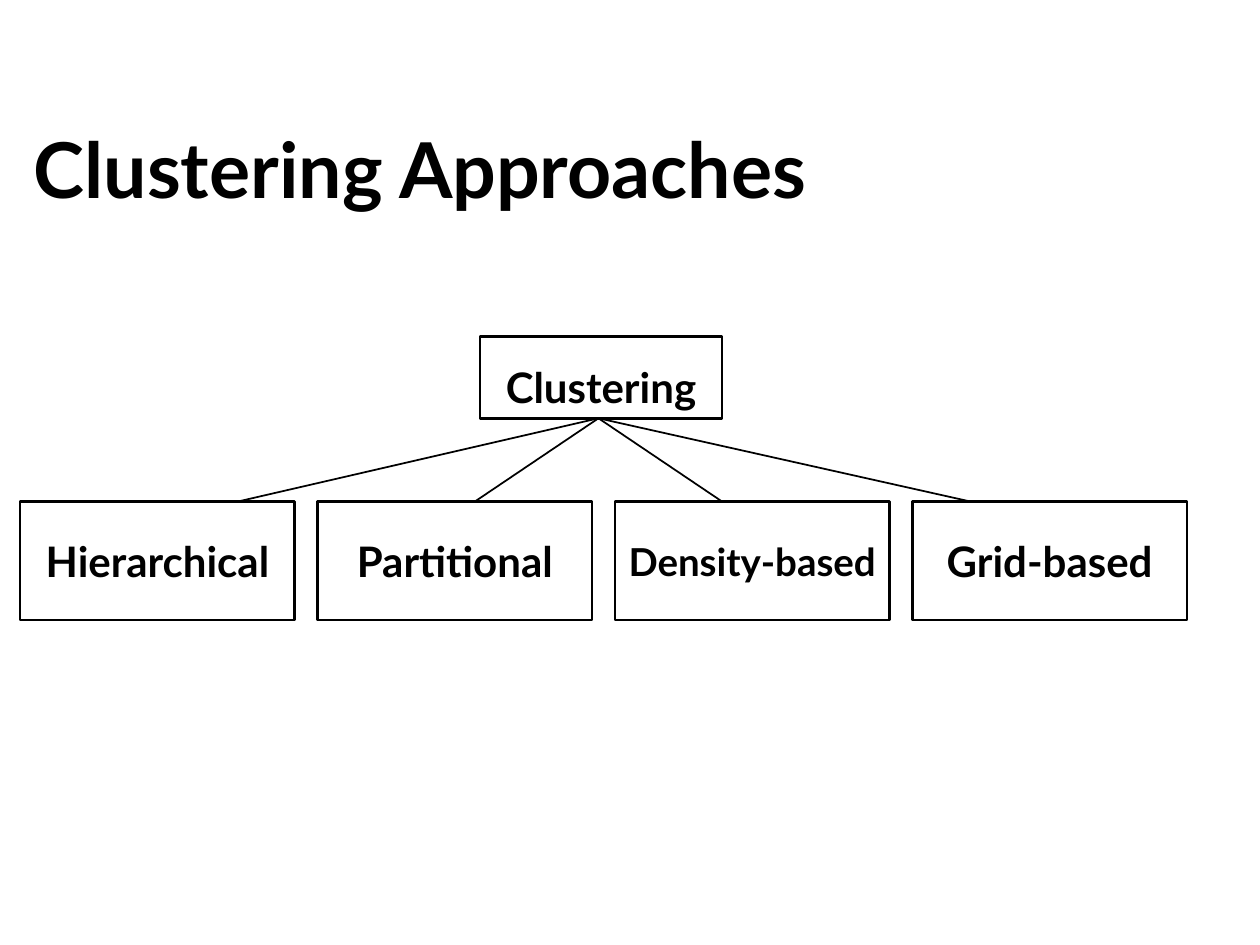
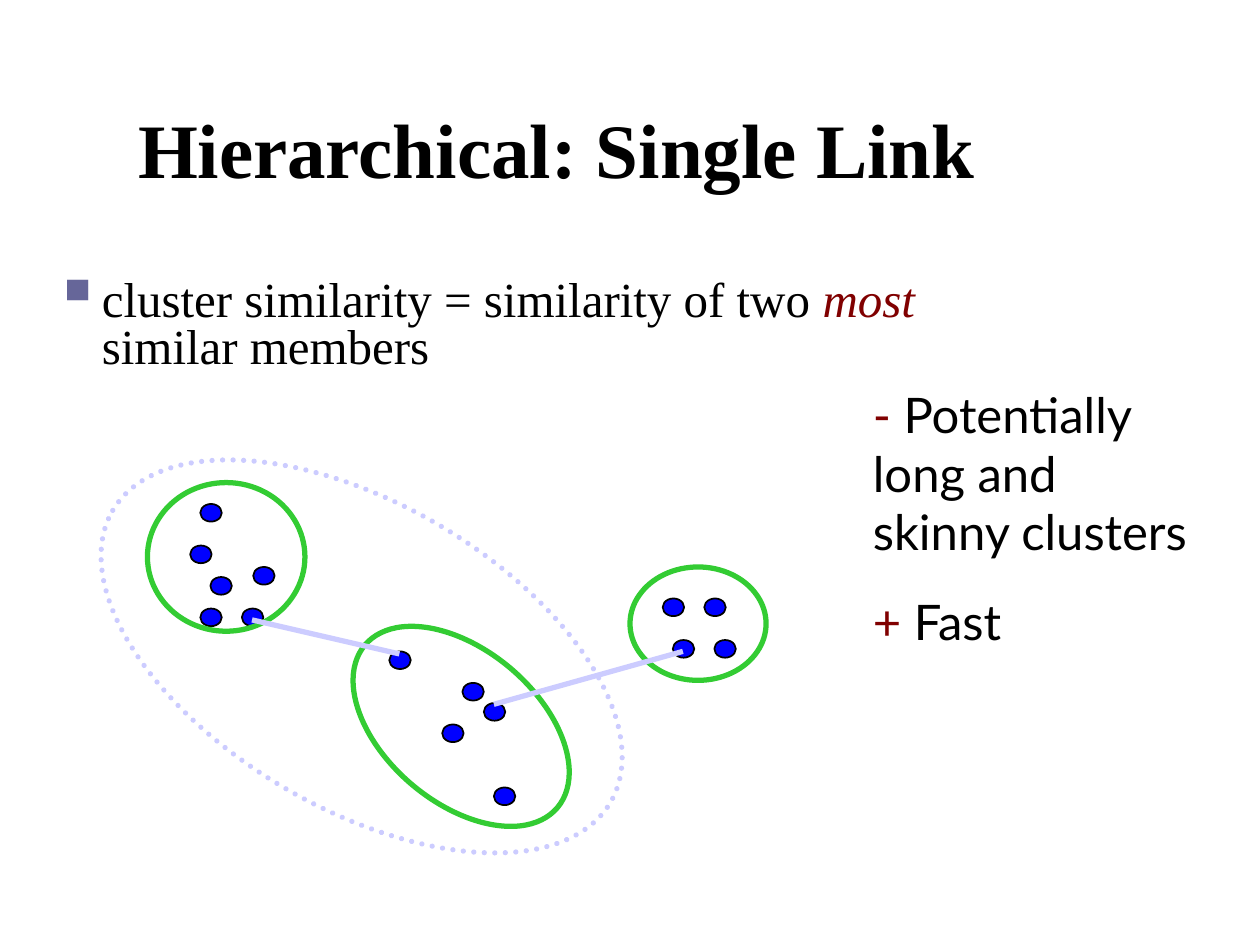
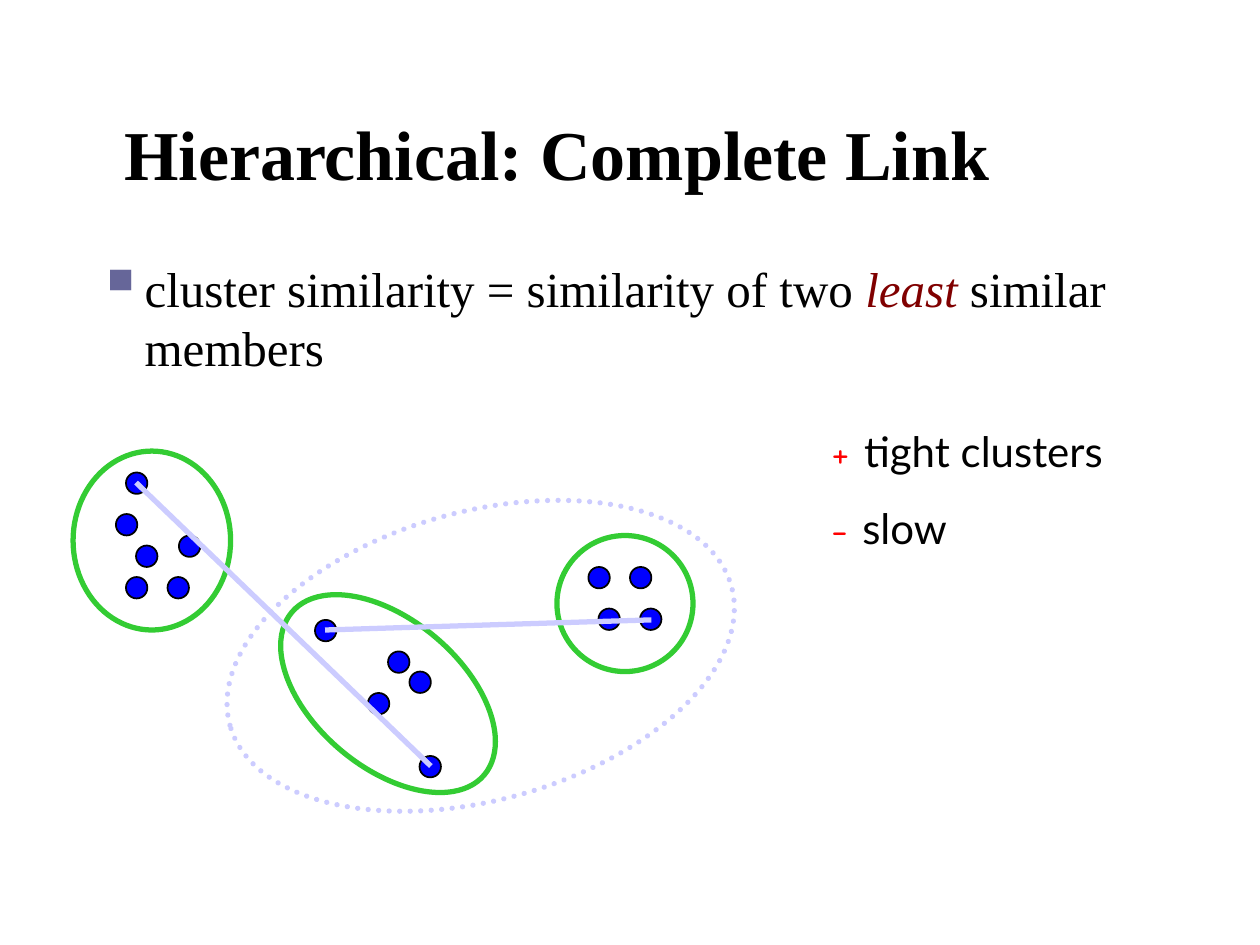
import pptx
import pptx.util
import pptx.dml.color
import pptx.enum.dml
import pptx.enum.shapes
import pptx.enum.text
import pptx.oxml.ns
from lxml import etree

Inches = pptx.util.Inches
Pt = pptx.util.Pt
SHAPE = pptx.enum.shapes.MSO_SHAPE
ANCHOR = pptx.enum.text.MSO_ANCHOR
ALIGN = pptx.enum.text.PP_ALIGN

COLORS = {
    "ink": "000000",
    "accent": "800000",
    "sign": "FF0000",
    "bullet": "666699",
    "dot": "0000FF",
    "cluster": "33CC33",
    "link": "CCCCFF",
}
SANS, SERIF, COMIC = "Lato", "Times New Roman", "Comic Neue"

# Points on the complete link slide; the single link slide shifts them
DOTS = [
    (2.5, 4.92), (5.08, 4.83), (3.33, 6), (3.08, 5.17), (4.75, 4.83),
    (5, 4.5), (1, 4.58), (0.92, 4.08), (1.42, 4.25), (1.08, 4.33),
    (1.33, 4.58), (4.67, 4.5), (1, 3.75), (3.25, 5.33), (2.92, 5.5),
]
DOT_WIDTH = 0.17


def color(name):
    return pptx.dml.color.RGBColor.from_string(COLORS[name])


def add_xml(parent, tag, **attributes):
    return etree.SubElement(parent, pptx.oxml.ns.qn(tag), attributes)


class Deck:
    """Holds the shared style and the current slide."""

    def __init__(self):
        self.deck = pptx.Presentation()
        self.deck.slide_width, self.deck.slide_height = Inches(10), Inches(7.5)
        self.page = None

    def new_page(self):
        self.page = self.deck.slides.add_slide(self.deck.slide_layouts[6])

    def add_spans(self, para, spans, size, font, bold=False):
        """Each span is (text, color) with an optional font and italic flag."""
        for text, ink, *extra in spans:
            span = para.add_run()
            span.text = text
            span.font.size = Pt(size)
            span.font.name = extra[0] if extra else font
            span.font.bold = bold
            span.font.italic = len(extra) > 1 and extra[1]
            span.font.color.rgb = color(ink)

    def text(self, at, paragraphs, size, font, bold=False, gap=0,
             anchor=ANCHOR.TOP, align=ALIGN.LEFT):
        box = self.page.shapes.add_textbox(*map(Inches, at))
        frame = box.text_frame
        frame.word_wrap = True
        frame.vertical_anchor = anchor
        for number, spans in enumerate(paragraphs):
            para = frame.add_paragraph() if number else frame.paragraphs[0]
            para.alignment = align
            if number:
                para.space_before = Pt(gap)
            self.add_spans(para, spans, size, font, bold)
        return frame

    def title(self, text, top, height, size=44, font=SERIF, align=ALIGN.CENTER):
        self.text((0.17, top, 8.5, height), [[(text, "ink")]], size, font,
                  bold=True, anchor=ANCHOR.MIDDLE, align=align)

    def definition(self, at, degree, spacing=1.0):
        spans = [
            ("cluster similarity = similarity of two ", "ink"),
            (degree, "accent", SERIF, True),
            (" similar members", "ink"),
        ]
        para = self.text(at, [spans], 28, SERIF).paragraphs[0]
        para.line_spacing = spacing
        properties = para._p.get_or_add_pPr()
        properties.set("marL", str(Inches(0.38)))
        properties.set("indent", str(-Inches(0.38)))
        bullet_color = add_xml(properties, "a:buClr")
        add_xml(bullet_color, "a:srgbClr", val=COLORS["bullet"])
        add_xml(properties, "a:buSzPct", val="130000")
        add_xml(properties, "a:buChar", char="▪")

    def shape(self, kind, at, line, weight, fill=None, turn=0):
        shape = self.page.shapes.add_shape(kind, *map(Inches, at))
        shape.shadow.inherit = False
        shape.rotation = turn
        shape.line.color.rgb = color(line)
        shape.line.width = Pt(weight)
        if fill:
            shape.fill.solid()
            shape.fill.fore_color.rgb = color(fill)
        else:
            shape.fill.background()
        return shape

    def node(self, at, label, size=24, anchor=ANCHOR.MIDDLE):
        frame = self.shape(SHAPE.RECTANGLE, at, "ink", 1.5).text_frame
        frame.word_wrap = False
        frame.vertical_anchor = anchor
        frame.paragraphs[0].alignment = ALIGN.CENTER
        self.add_spans(frame.paragraphs[0], [(label, "ink")], size, SANS, True)

    def line(self, start, end, ink="link", weight=3):
        line = self.page.shapes.add_connector(
            pptx.enum.shapes.MSO_CONNECTOR.STRAIGHT,
            *map(Inches, (*start, *end)))
        line.line.color.rgb = color(ink)
        line.line.width = Pt(weight)
        add_xml(line._element.spPr, "a:effectLst")

    def scatter(self, dot_height, shift=(0, 0)):
        for left, top in DOTS:
            at = (left + shift[0], top + shift[1], DOT_WIDTH, dot_height)
            self.shape(SHAPE.OVAL, at, "ink", 1, fill="dot")

    def clusters(self, ovals):
        for at, turn in ovals:
            self.shape(SHAPE.OVAL, at, "cluster", 3, turn=turn)

    def merged_cluster(self, at, turn):
        oval = self.shape(SHAPE.OVAL, at, "link", 3, turn=turn)
        oval.line.dash_style = pptx.enum.dml.MSO_LINE.ROUND_DOT
        oval.line._get_or_add_ln().set("cap", "rnd")


def approaches_page(deck):
    deck.new_page()
    deck.title("Clustering Approaches", 0.92, 0.83, font=SANS, align=ALIGN.LEFT)

    # Tree: root, branches and four leaves
    leaf_top, root = 3.98, (4.75, 3.32)
    deck.node((3.81, 2.67, 1.92, 0.65), "Clustering", anchor=ANCHOR.BOTTOM)
    leaves = [("Hierarchical", 24, 1.89), ("Partitional", 24, 3.77),
              ("Density-based", 22, 5.73), ("Grid-based", 24, 7.7)]
    for column, (label, size, branch) in enumerate(leaves):
        deck.node((0.16 + 2.36 * column, leaf_top, 2.18, 0.94), label, size)
        deck.line((branch, leaf_top), root, "ink", 1)


def single_link_page(deck):
    deck.new_page()
    deck.title("Hierarchical: Single Link", 0.67, 1)
    deck.definition((0.33, 2.17, 7.75, 0.92), "most", 0.8)

    # Clusters and the links between their nearest points
    deck.scatter(0.14, shift=(0.59, 0.25))
    deck.clusters([((5, 4.5, 1.08, 0.9), 0), ((1.17, 3.83, 1.25, 1.18), 0),
                   ((2.66, 5.16, 2, 1.21), 40.2)])
    deck.line((2, 4.92), (3.17, 5.19))
    deck.line((5.42, 5.17), (3.92, 5.59))
    deck.merged_cluster((0.58, 4, 4.58, 2.42), 30.4)

    # Drawback and benefit
    deck.text((6.83, 3, 2.75, 2.68), [
        [("-", "accent"), (" Potentially long and skinny clusters", "ink")],
        [("+", "accent"), (" Fast", "ink")],
    ], 28, SANS, gap=17.5)


def complete_link_page(deck):
    deck.new_page()
    deck.title("Hierarchical: Complete Link", 0.75, 0.92, size=40)
    deck.definition((0.67, 2, 8.33, 1.08), "least")

    # Clusters and the links between their farthest points
    deck.scatter(DOT_WIDTH)
    deck.clusters([((4.42, 4.25, 1.08, 1.08), 0), ((0.58, 3.58, 1.25, 1.42), 0),
                   ((2.08, 4.92, 2, 1.17), 40.2)])
    deck.line((1.08, 3.83), (3.42, 6.08))
    deck.line((5.17, 4.92), (2.58, 5))
    deck.merged_cluster((1.75, 4.06, 4.13, 2.29), 344.5)

    # Benefit and drawback
    deck.text((6.5, 3.33, 3, 1.11), [
        [("+ ", "sign", COMIC), ("tight clusters", "ink")],
        [("- ", "sign", COMIC), ("slow", "ink")],
    ], 24, SANS, gap=15)


def main():
    deck = Deck()
    approaches_page(deck)
    single_link_page(deck)
    complete_link_page(deck)
    deck.deck.save("out.pptx")


if __name__ == "__main__":
    main()
